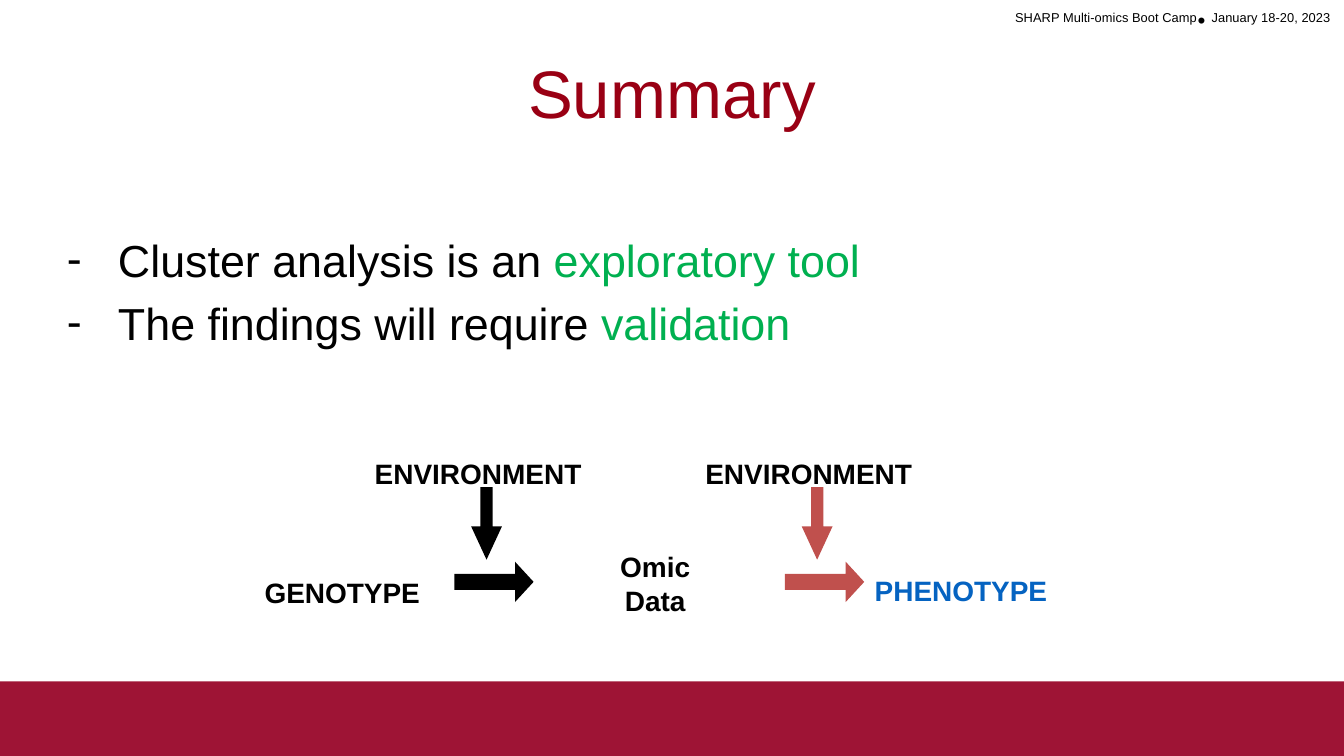
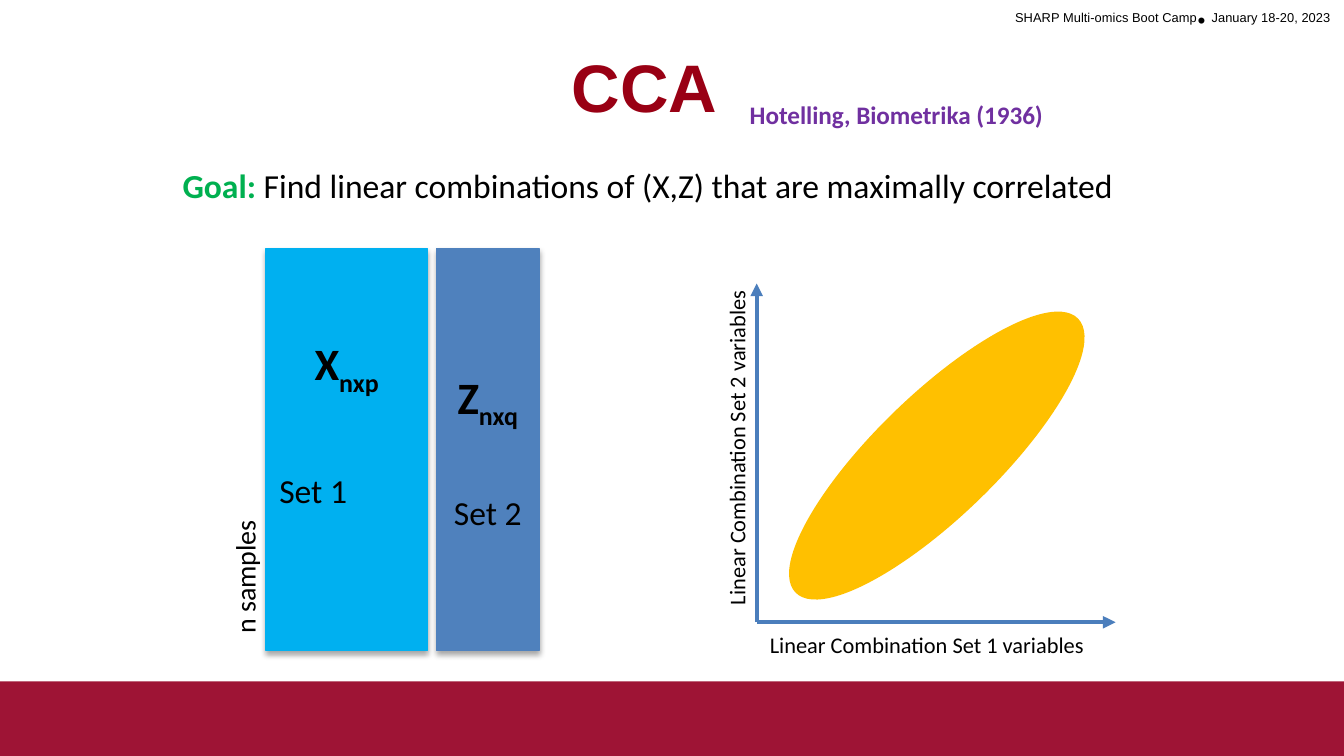
from dataclasses import dataclass

from lxml.etree import SubElement
from pptx import Presentation
from pptx.dml.color import RGBColor
from pptx.enum.shapes import MSO_CONNECTOR, MSO_SHAPE
from pptx.enum.text import MSO_ANCHOR, MSO_AUTO_SIZE, PP_ALIGN
from pptx.oxml.ns import qn
from pptx.util import Inches, Pt


@dataclass(frozen=True)
class Theme:
    heading_font: str = "Arial"
    figure_font: str = "Calibri"
    title: str = "990014"
    band: str = "9E1435"
    ink: str = "000000"
    accent: str = "00B050"
    causal: str = "C0504D"
    outcome: str = "0563C1"
    citation: str = "7030A0"
    set_1: str = "00B0F0"
    set_2: str = "4F81BD"
    axis: str = "4B7EBC"
    cloud: str = "FFC000"
    title_size: float = 36
    large: float = 24
    medium: float = 18
    label: float = 15
    cite: float = 13.5
    small: float = 12


THEME = Theme()
COLUMNS, ROWS = 100, 56.25  # square grid cells, a tenth of an inch each


def cells(*counts):
    return [Inches(count / 10) for count in counts]


# --- text ---
def add_run(paragraph, text, size, color=THEME.ink, font=THEME.heading_font,
            bold=False, baseline=0):
    run = paragraph.add_run()
    run.text = text
    run.font.name = font
    run.font.size = Pt(size)
    run.font.bold = bold
    run.font.color.rgb = RGBColor.from_string(color)
    if baseline:
        run.font._element.set("baseline", str(baseline * 1000))


def add_paragraph(frame, align=PP_ALIGN.LEFT, before=0):
    first = frame.paragraphs[0]
    paragraph = frame.add_paragraph() if first.runs else first
    paragraph.alignment = align
    if before:
        paragraph.space_before = Pt(before)
    return paragraph


def add_text_frame(slide, area, wrap=True, grow=True, rotation=0):
    box = slide.shapes.add_textbox(*cells(*area))
    box.rotation = rotation
    frame = box.text_frame
    frame.word_wrap = wrap
    frame.auto_size = MSO_AUTO_SIZE.SHAPE_TO_FIT_TEXT if grow else MSO_AUTO_SIZE.NONE
    return frame


def add_label(slide, area, text, size=THEME.label, rotation=0, **style):
    frame = add_text_frame(slide, area, wrap=False, rotation=rotation)
    add_run(add_paragraph(frame), text, size, **style)


def set_title(slide, area, text, anchor, bold=False):
    title = slide.shapes.title
    title.left, title.top, title.width, title.height = cells(*area)
    frame = title.text_frame
    frame.auto_size = MSO_AUTO_SIZE.NONE
    frame.vertical_anchor = anchor
    add_run(add_paragraph(frame, PP_ALIGN.CENTER), text, THEME.title_size,
            THEME.title, bold=bold)


def add_dash(paragraph, indent):
    properties = paragraph._p.get_or_add_pPr()
    properties.set("marL", str(Inches(indent)))
    properties.set("indent", str(-Inches(indent)))
    SubElement(properties, qn("a:buFont"), typeface=THEME.heading_font)
    SubElement(properties, qn("a:buChar"), char="-")


# --- shapes ---
def add_solid(slide, kind, area, color, line=0, rotation=0, adjustments=()):
    solid = slide.shapes.add_shape(kind, *cells(*area))
    solid.shadow.inherit = False
    solid.rotation = rotation
    solid.fill.solid()
    solid.fill.fore_color.rgb = RGBColor.from_string(color)
    if line:
        solid.line.color.rgb = RGBColor.from_string(color)
        solid.line.width = Pt(line)
    else:
        solid.line.fill.background()
    for index, value in enumerate(adjustments):
        solid.adjustments[index] = value
    return solid


def add_soft_shadow(solid):
    effects = solid.element.spPr.find(qn("a:effectLst"))
    shadow = SubElement(effects, qn("a:outerShdw"), blurRad=str(Pt(3.1)),
                        dist=str(Pt(1.8)), dir="5400000", rotWithShape="0")
    color = SubElement(shadow, qn("a:srgbClr"), val=THEME.ink)
    SubElement(color, qn("a:alpha"), val="35000")


def add_axis(slide, start, end):
    axis = slide.shapes.add_connector(MSO_CONNECTOR.STRAIGHT, *cells(*start, *end))
    axis.line.color.rgb = RGBColor.from_string(THEME.axis)
    axis.line.width = Pt(2.25)
    SubElement(axis.line._get_or_add_ln(), qn("a:tailEnd"), type="triangle")
    SubElement(axis.element.spPr, qn("a:effectLst"))


def add_data_set(slide, left, width, color, letter, dimensions, caption,
                 caption_align, drop, gap):
    block = add_solid(slide, MSO_SHAPE.RECTANGLE, (left, 18.5, width, 29.9),
                      color, line=0.75)
    add_soft_shadow(block)
    frame = block.text_frame
    frame.word_wrap = True
    frame.vertical_anchor = MSO_ANCHOR.TOP
    frame.margin_top = cells(drop)[0]
    font = THEME.figure_font
    matrix = add_paragraph(frame, PP_ALIGN.CENTER)
    add_run(matrix, letter, THEME.large, font=font, bold=True)
    add_run(matrix, dimensions, THEME.large, font=font, bold=True, baseline=-25)
    add_run(add_paragraph(frame, caption_align, gap), caption, THEME.medium, font=font)


# --- what all slides share ---
def dress_layout(layout, slide):
    """Build the band and header once and move them to the layout."""
    for placeholder in list(layout.placeholders)[1:]:
        layout.shapes.element.remove(placeholder.element)
    band = add_solid(slide, MSO_SHAPE.RECTANGLE, (0, 50.7, COLUMNS, ROWS - 50.7),
                     THEME.band)
    frame = add_text_frame(slide, (60.4, 0, 39.6, 3))
    header = add_paragraph(frame, PP_ALIGN.RIGHT)
    for text, baseline in (("SHARP Multi-omics Boot Camp", 30), ("• ", 0),
                           ("January 18-20, 2023", 30)):
        add_run(header, text, THEME.small, baseline=baseline)
    header_box = slide.shapes[-1]
    for part in (band, header_box):
        layout.shapes.element.append(part.element)


# --- slides ---
def fill_summary(slide):
    set_title(slide, (5, 2.1, 90, 9.4), "Summary", MSO_ANCHOR.MIDDLE)

    # Conclusions
    frame = add_text_frame(slide, (4, 12.8, 95, 37.5), grow=False)
    conclusions = (("Cluster analysis is an ", "exploratory tool", 0, 2),
                   ("The findings will require ", "validation", 5, 1))
    for opening, key_words, before, spacing in conclusions:
        conclusion = add_paragraph(frame, before=before)
        conclusion.line_spacing = float(spacing)
        add_dash(conclusion, 0.38)
        add_run(conclusion, opening, THEME.large)
        add_run(conclusion, key_words, THEME.large, THEME.accent)

    # Path from genotype to phenotype
    add_label(slide, (18.7, 42.3, 13.7, 3.5), "GENOTYPE", bold=True)
    omic_data = add_text_frame(slide, (40.7, 40.4, 16.1, 6.1))
    for word in ("Omic", "Data"):
        add_run(add_paragraph(omic_data, PP_ALIGN.CENTER), word, THEME.label, bold=True)
    add_label(slide, (64.1, 42.2, 15, 3.5), "PHENOTYPE", color=THEME.outcome, bold=True)

    step_pitch = 24.6
    for step, color in enumerate((THEME.ink, THEME.causal)):
        shift = step * step_pitch
        add_solid(slide, MSO_SHAPE.RIGHT_ARROW, (33.8 + shift, 41.8, 5.9, 3),
                  color, adjustments=(0.4, 0.46))
        add_label(slide, (26.9 + shift, 33.5, 17.6, 3.5), "ENVIRONMENT", bold=True)
        add_solid(slide, MSO_SHAPE.RIGHT_ARROW, (33.5 + shift, 37.8, 5.4, 2.3),
                  color, rotation=90, adjustments=(0.4, 1.08))


def fill_cca(slide):
    font = THEME.figure_font
    set_title(slide, (7.1, 2.9, 81.7, 10.9), "CCA", MSO_ANCHOR.TOP, bold=True)
    add_label(slide, (54.8, 6.9, 24.2, 3.3), "Hotelling, Biometrika (1936)", THEME.cite,
              color=THEME.citation, font=font, bold=True)

    # Goal
    goal = add_paragraph(add_text_frame(slide, (12.6, 11.8, 74.9, 4)))
    add_run(goal, "Goal:", THEME.medium, THEME.accent, font, bold=True)
    add_run(goal, " Find linear combinations of (X,Z) that are maximally correlated",
            THEME.medium, font=font)

    # Data sets
    add_data_set(slide, 19.8, 12, THEME.set_1, "X", "nxp", "Set 1",
                 PP_ALIGN.LEFT, drop=6.5, gap=39)
    add_data_set(slide, 32.5, 7.6, THEME.set_2, "Z", "nxq", "Set 2",
                 PP_ALIGN.CENTER, drop=9, gap=33)
    add_label(slide, (12.9, 41.1, 10.6, 3.5), "n samples", rotation=270, font=font)

    # Correlation of the combinations
    corner = (56.3, 46.3)
    add_axis(slide, corner, (83, corner[1]))
    add_axis(slide, corner, (corner[0], 21.1))
    for number, left, top, rotation in ((1, 56.3, 46.5, 0), (2, 42, 31.7, 270)):
        add_label(slide, (left, top, 25.6, 3),
                  f"Linear Combination Set {number} variables",
                  THEME.small, rotation, font=font)
    add_solid(slide, MSO_SHAPE.OVAL, (65.3, 19.4, 8.8, 29), THEME.cloud,
              line=2, rotation=45.9)


def main():
    deck = Presentation()
    deck.slide_width, deck.slide_height = cells(COLUMNS, ROWS)
    title_only = deck.slide_layouts[5]
    summary = deck.slides.add_slide(title_only)
    dress_layout(title_only, summary)
    fill_summary(summary)
    fill_cca(deck.slides.add_slide(title_only))
    deck.save("out.pptx")


if __name__ == "__main__":
    main()
